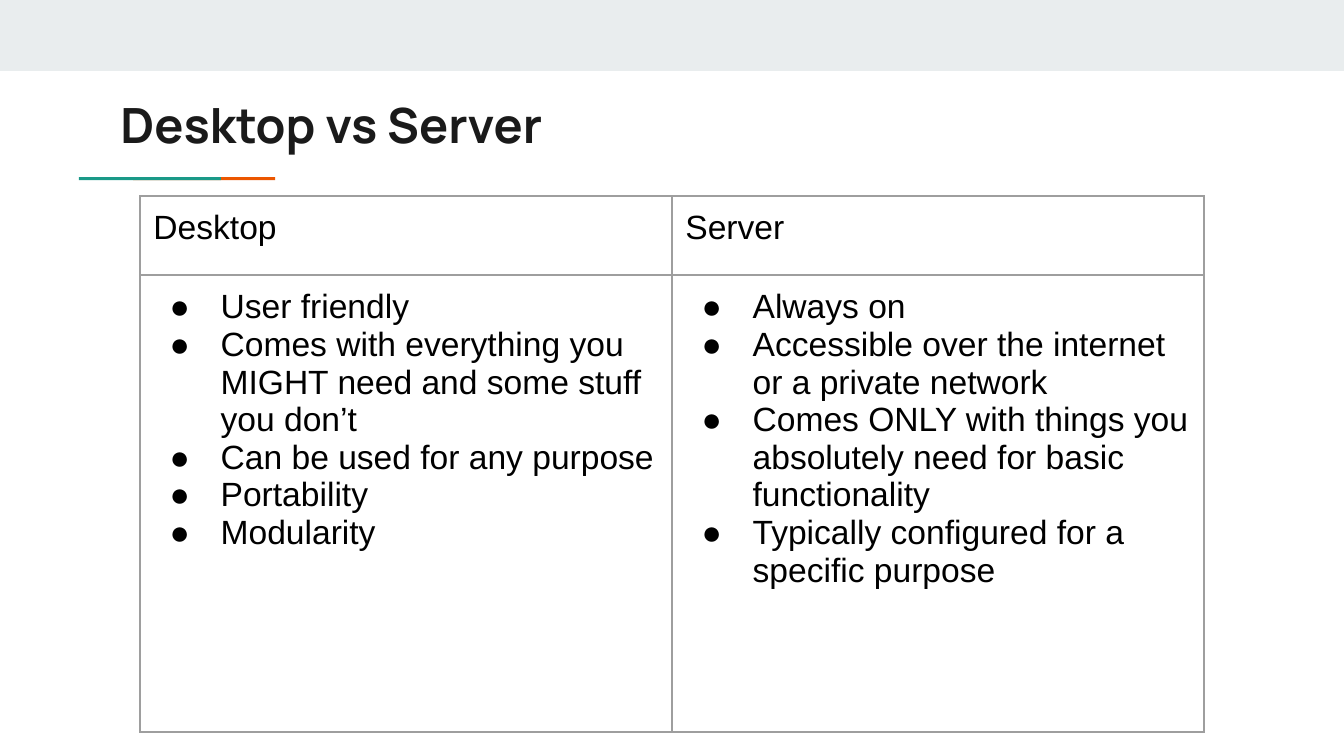
import pptx
import pptx.dml.color
import pptx.enum.shapes
import pptx.enum.text
import pptx.oxml
import pptx.oxml.ns
import pptx.util

SLIDE_WIDTH, SLIDE_HEIGHT = 1344, 756
EMU_PER_PX = 9144000 / SLIDE_WIDTH
NAMESPACE = pptx.oxml.ns.nsdecls("a")


def px(length):
    return pptx.util.Emu(round(length * EMU_PER_PX))


def color(value):
    return pptx.dml.color.RGBColor.from_string(value)


presentation = pptx.Presentation()
presentation.slide_width = px(SLIDE_WIDTH)
presentation.slide_height = px(SLIDE_HEIGHT)
slide = presentation.slides.add_slide(presentation.slide_layouts[5])

# Top band, and two quarter-turned bars that form the accent line under the title
accent = slide.shapes.add_group_shape()
for shapes, left, top, width, height, rotation, fill in [
    (slide.shapes, 0, 0, SLIDE_WIDTH, 71, 0, "E9EDEE"),
    (accent.shapes, 167, 151, 3, 55, 270, "EB5600"),
    (accent.shapes, 146, 151, 3, 55, 270, "1A9988"),
]:
    bar = shapes.add_shape(
        pptx.enum.shapes.MSO_SHAPE.RECTANGLE, px(left), px(top), px(width), px(height)
    )
    bar.rotation = rotation
    bar.shadow.inherit = False
    bar.fill.solid()
    bar.fill.fore_color.rgb = color(fill)
    bar.line.fill.background()
# Widening the group stretches the bars along the line
accent.width = px(62)

# Title
title = slide.shapes.title
title.left, title.top, title.width, title.height = px(107), px(82), px(1130), px(79)
frame = title.text_frame
frame.auto_size = pptx.enum.text.MSO_AUTO_SIZE.NONE
frame.vertical_anchor = pptx.enum.text.MSO_ANCHOR.TOP
frame.margin_left = frame.margin_right = frame.margin_top = frame.margin_bottom = pptx.util.Inches(0.1)
paragraph = frame.paragraphs[0]
paragraph.alignment = pptx.enum.text.PP_ALIGN.LEFT
run = paragraph.add_run()
run.text = "Desktop vs Server"
run.font.name = "Manrope"
run.font.size = pptx.util.Pt(26)
run.font.bold = True
run.font.color.rgb = color("1A1A1A")

# Comparison table: a heading row above a row of bulleted lists
rows = [
    [["Desktop"], ["Server"]],
    [
        [
            "User friendly",
            "Comes with everything you MIGHT need and some stuff you don’t",
            "Can be used for any purpose",
            "Portability",
            "Modularity",
        ],
        [
            "Always on",
            "Accessible over the internet or a private network",
            "Comes ONLY with things you absolutely need for basic functionality",
            "Typically configured for a specific purpose",
        ],
    ],
]
row_heights = [79, 457]
column_width = 532
table = slide.shapes.add_table(
    2, 2, px(140), px(196), px(2 * column_width), px(sum(row_heights))
).table
table.first_row = False
table.horz_banding = False
for column in table.columns:
    column.width = px(column_width)

for row_index, row in enumerate(rows):
    table.rows[row_index].height = px(row_heights[row_index])
    for column_index, lines in enumerate(row):
        cell = table.cell(row_index, column_index)
        cell.margin_left = cell.margin_right = pptx.util.Inches(0.1)
        cell.margin_top = cell.margin_bottom = pptx.util.Inches(0.1)
        cell_properties = cell._tc.get_or_add_tcPr()
        for side in ("lnL", "lnR", "lnT", "lnB"):
            cell_properties.append(pptx.oxml.parse_xml(
                f'<a:{side} {NAMESPACE} w="{pptx.util.Pt(0.75)}"><a:solidFill>'
                f'<a:srgbClr val="9E9E9E"/></a:solidFill></a:{side}>'
            ))
        cell.fill.background()

        for line_index, line in enumerate(lines):
            frame = cell.text_frame
            paragraph = frame.add_paragraph() if line_index else frame.paragraphs[0]
            if row_index == 1:
                properties = paragraph._p.get_or_add_pPr()
                properties.set("marL", str(pptx.util.Inches(0.5)))
                properties.set("indent", str(pptx.util.Inches(-0.38)))
                for bullet in (
                    f'<a:buClr {NAMESPACE}><a:srgbClr val="000000"/></a:buClr>',
                    f'<a:buFont {NAMESPACE} typeface="Arial"/>',
                    f'<a:buChar {NAMESPACE} char="●"/>',
                ):
                    properties.append(pptx.oxml.parse_xml(bullet))
            run = paragraph.add_run()
            run.text = line
            run.font.name = "Arial"
            run.font.size = pptx.util.Pt(18)
            run.font.color.rgb = color("000000")

presentation.save("out.pptx")
